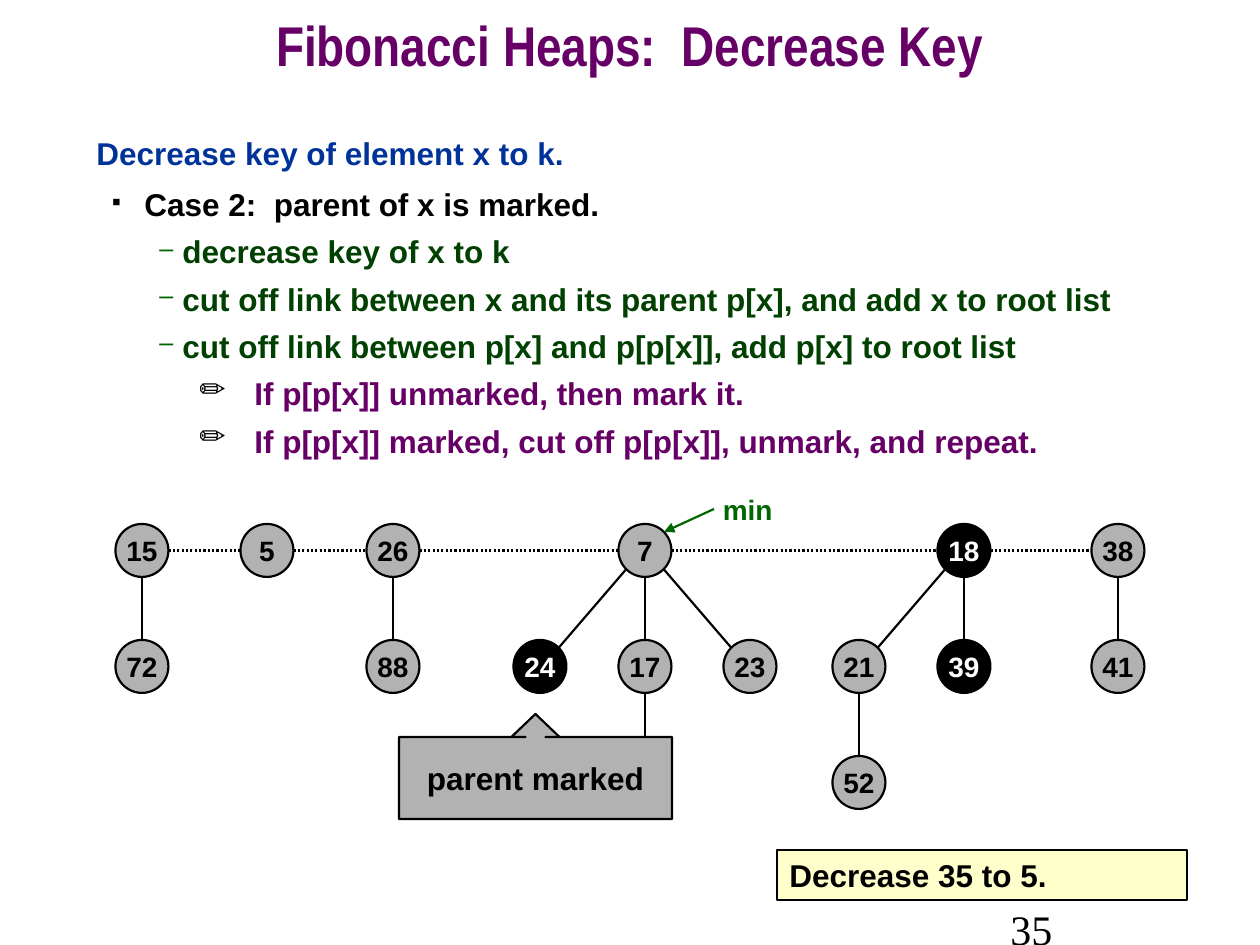
"""Build the slide on decreasing a key in a Fibonacci heap."""
from math import sqrt

from lxml.etree import SubElement
from pptx import Presentation
from pptx.dml.color import RGBColor
from pptx.enum.dml import MSO_LINE
from pptx.enum.shapes import MSO_CONNECTOR, MSO_SHAPE
from pptx.enum.text import MSO_ANCHOR, PP_ALIGN
from pptx.oxml.ns import qn
from pptx.util import Emu, Pt

PX = 914400 // 126
BLACK, WHITE, GRAY, MARKED = "000000", "FFFFFF", "B2B2B2", "010000"
PURPLE, GREEN, DARK_GREEN, BLUE, YELLOW = "660066", "006600", "004000", "003399", "FFFFCC"

TITLE = "Fibonacci Heaps:  Decrease Key"
STEPS = [
    (0, "Decrease key of element x to k."),
    (1, "Case 2:  parent of x is marked."),
    (2, "decrease key of x to k"),
    (2, "cut off link between x and its parent p[x], and add x to root list"),
    (2, "cut off link between p[x] and p[p[x]], add p[x] to root list"),
    (3, "If p[p[x]] unmarked, then mark it."),
    (3, "If p[p[x]] marked, cut off p[p[x]], unmark, and repeat."),
]
LEVEL_COLORS = [BLUE, BLACK, DARK_GREEN, PURPLE]
BULLETS = {
    1: ("■", BLACK, 35, 48, -32),
    2: ("–", GREEN, 80, 86, -23),
    3: ("✏", BLACK, 100, 158, -55),
}

NODE_SIZE, TOP_ROW, ROW_STEP = 53, 524, 116
NODES = {
    "15": (142, 0), "5": (267, 0), "26": (393, 0),
    "7": (645, 0), "18": (964, 0), "38": (1118, 0),
    "72": (142, 1), "88": (393, 1), "24": (540, 1), "17": (645, 1),
    "23": (750, 1), "21": (859, 1), "39": (964, 1), "41": (1118, 1),
    "52": (859, 2),
}
MARKED_NODES = {"24", "18", "39"}
ROOTS = ["15", "5", "26", "7", "18", "38"]
CHILDREN = {
    "15": ["72"], "26": ["88"], "7": ["24", "17", "23"],
    "18": ["21", "39"], "38": ["41"], "21": ["52"],
}


def px(*values):
    return [Emu(round(value * PX)) for value in values]


def color(value):
    return RGBColor.from_string(value)


def add_run(paragraph, text, size, text_color, font="Arial", bold=True):
    run = paragraph.add_run()
    run.text = text
    run.font.size = Pt(size)
    run.font.name = font
    run.font.bold = bold
    run.font.color.rgb = color(text_color)


def add_bullet(paragraph, character, bullet_color, percent, margin, indent):
    properties = paragraph._p.get_or_add_pPr()
    properties.set("marL", str(margin * PX))
    properties.set("indent", str(indent * PX))
    fill = SubElement(properties, qn("a:buClr"))
    SubElement(fill, qn("a:srgbClr"), val=bullet_color)
    SubElement(properties, qn("a:buSzPct"), val=str(percent * 1000))
    SubElement(properties, qn("a:buChar"), char=character)


def add_box(slide, kind, box, fill, text, size, text_color=BLACK, align=PP_ALIGN.CENTER, wrap=True):
    shape = slide.shapes.add_shape(kind, *px(*box))
    shape.shadow.inherit = False
    shape.fill.solid()
    shape.fill.fore_color.rgb = color(fill)
    shape.line.color.rgb = color(BLACK)
    shape.line.width = Pt(1.25)
    frame = shape.text_frame
    frame.word_wrap = wrap
    frame.vertical_anchor = MSO_ANCHOR.MIDDLE
    frame.paragraphs[0].alignment = align
    add_run(frame.paragraphs[0], text, size, text_color)
    return shape


def add_line(slide, start, end, line_color=BLACK):
    line = slide.shapes.add_connector(MSO_CONNECTOR.STRAIGHT, *px(*start, *end))
    line.line.color.rgb = color(line_color)
    line.line.width = Pt(1.25)
    SubElement(line._element.spPr, qn("a:effectLst"))
    return line


def add_text_box(slide, box):
    frame = slide.shapes.add_textbox(*px(*box)).text_frame
    frame.word_wrap = True
    frame.vertical_anchor = MSO_ANCHOR.MIDDLE
    return frame


def center(key):
    x, row = NODES[key]
    return x, TOP_ROW + NODE_SIZE / 2 + row * ROW_STEP


def add_title(slide):
    title = slide.shapes.title
    title.left, title.top, title.width, title.height = px(0, 0, 1260, 105)
    title.text_frame.vertical_anchor = MSO_ANCHOR.MIDDLE
    paragraph = title.text_frame.paragraphs[0]
    paragraph.alignment = PP_ALIGN.CENTER
    paragraph.line_spacing = 0.7
    add_run(paragraph, TITLE, 32, PURPLE, "Arial Narrow")


def add_steps(slide):
    frame = add_text_box(slide, (84, 128, 1081, 340))
    frame.vertical_anchor = MSO_ANCHOR.TOP
    for index, (level, text) in enumerate(STEPS):
        paragraph = frame.add_paragraph() if index else frame.paragraphs[0]
        paragraph.level = level
        if level in BULLETS:
            add_bullet(paragraph, *BULLETS[level])
        if index:
            paragraph.space_before = Pt(5.4)
        if level == 1:
            paragraph.line_spacing = 1.1
        add_run(paragraph, text, 18, LEVEL_COLORS[level])


def add_heap(slide):
    radius = NODE_SIZE / 2
    diagonal = radius / sqrt(2)
    for left, right in zip(ROOTS, ROOTS[1:]):
        (x1, y), (x2, _) = center(left), center(right)
        link = add_line(slide, (x1 + radius, y), (x2 - radius, y))
        link.line.dash_style = MSO_LINE.ROUND_DOT
    for parent, children in CHILDREN.items():
        for child in children:
            (x1, y1), (x2, y2) = center(parent), center(child)
            side = (x2 > x1) - (x2 < x1)
            drop = diagonal if side else radius
            shift = side * diagonal
            add_line(slide, (x1 + shift, y1 + drop), (x2 - shift, y2 - drop))
    x, y = center("17")
    add_line(slide, (x, y + radius), (x, y + ROW_STEP - radius))
    for key in NODES:
        x, y = center(key)
        fill, text_color = (MARKED, WHITE) if key in MARKED_NODES else (GRAY, BLACK)
        box = (x - radius, y - radius, NODE_SIZE, NODE_SIZE)
        add_box(slide, MSO_SHAPE.OVAL, box, fill, key, 16, text_color, wrap=False)


def add_labels(slide):
    callout = add_box(slide, MSO_SHAPE.UP_ARROW_CALLOUT, (399, 714, 273, 105), GRAY, "parent marked", 18)
    for index, value in enumerate((0.19, 0.23, 0.22, 0.97)):
        callout.adjustments[index] = value
    callout.text_frame.margin_left, callout.text_frame.margin_right = px(25, 25)

    pointer = add_line(slide, (664, 532), (714, 509), GREEN)
    SubElement(pointer.line._get_or_add_ln(), qn("a:headEnd"), type="triangle")
    label = add_text_box(slide, (723, 483, 60, 53))
    label.margin_left = label.margin_right = 0
    add_run(label.paragraphs[0], "min", 16, GREEN)

    add_box(slide, MSO_SHAPE.RECTANGLE, (777, 850, 410, 50), YELLOW, "Decrease 35 to 5.", 18, align=PP_ALIGN.LEFT)
    number = add_text_box(slide, (998, 897, 262, 63))
    add_run(number.paragraphs[0], "35", 24, BLACK, "Times New Roman", False)


def main():
    presentation = Presentation()
    presentation.slide_width, presentation.slide_height = px(1260, 945)
    slide = presentation.slides.add_slide(presentation.slide_layouts[5])
    add_title(slide)
    add_steps(slide)
    add_heap(slide)
    add_labels(slide)
    presentation.save("out.pptx")


if __name__ == "__main__":
    main()
